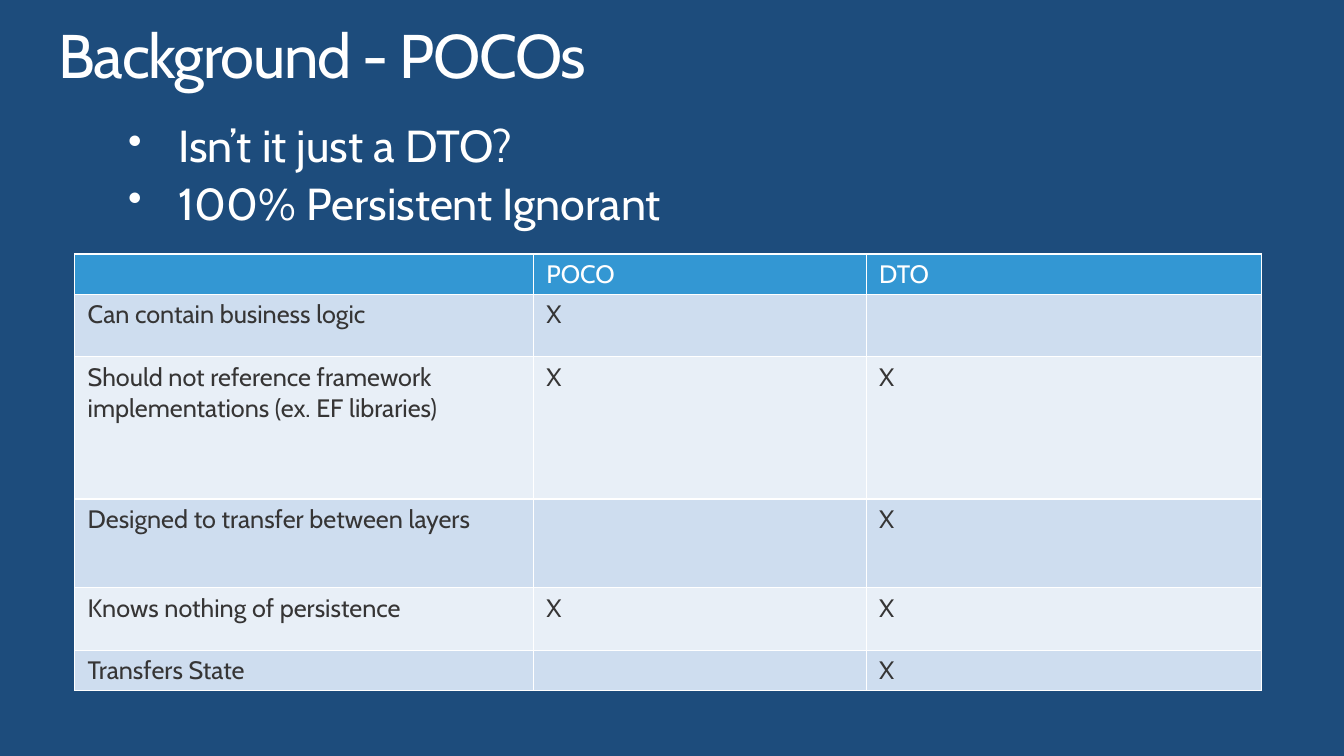
from dataclasses import dataclass

from lxml import etree
from pptx import Presentation
from pptx.dml.color import RGBColor
from pptx.enum.text import MSO_ANCHOR
from pptx.oxml.ns import qn
from pptx.util import Inches, Pt

TOP = MSO_ANCHOR.TOP
BORDER_TAGS = ("a:lnL", "a:lnR", "a:lnT", "a:lnB")


@dataclass(frozen=True)
class Theme:
    """Colours, font and type sizes of the deck."""
    font: str = "Cabin"
    background: str = "1D4C7C"
    light: str = "FFFFFF"
    dark: str = "363535"
    header: str = "3397D3"
    bands: tuple = ("CEDDEF", "E8EFF7")
    title_size: int = 44
    bullet_size: int = 32
    table_size: int = 18


class SlideBuilder:
    """Draws styled elements on the current slide."""

    def __init__(self, slide, theme):
        self.slide = slide
        self.theme = theme

    def background(self):
        fill = self.slide.background.fill
        fill.solid()
        fill.fore_color.rgb = RGBColor.from_string(self.theme.background)

    def run(self, para, text, size, color):
        span = para.add_run()
        span.text = text
        span.font.name = self.theme.font
        span.font.size = Pt(size)
        span.font.color.rgb = RGBColor.from_string(color)
        return span

    def text_frame(self, left, top, width, height):
        box = self.slide.shapes.add_textbox(
            Inches(left), Inches(top), Inches(width), Inches(height))
        frame = box.text_frame
        frame.word_wrap = True
        frame.vertical_anchor = TOP
        frame.margin_left = frame.margin_right = Inches(0)
        frame.margin_top = frame.margin_bottom = Inches(0)
        return frame

    def title(self, text, *place):
        para = self.text_frame(*place).paragraphs[0]
        para.line_spacing = 0.9
        span = self.run(para, text, self.theme.title_size, self.theme.light)
        span.font._element.set("spc", "-100")

    def bullets(self, lines, *place):
        frame = self.text_frame(*place)
        for index, line in enumerate(lines):
            para = frame.add_paragraph() if index else frame.paragraphs[0]
            para.line_spacing = 0.9
            para.space_before = Pt(0.2 * self.theme.bullet_size)
            properties = para._p.get_or_add_pPr()
            properties.set("marL", str(Inches(0.5)))
            properties.set("indent", str(Inches(-0.5)))
            etree.SubElement(properties, qn("a:buSzPct"), val="90000")
            etree.SubElement(properties, qn("a:buChar"), char="•")
            self.run(para, line, self.theme.bullet_size, self.theme.light)

    def cell(self, cell, text, fill, color):
        cell.margin_left = cell.margin_right = Inches(0.13)
        cell.margin_top = cell.margin_bottom = Inches(0.05)
        properties = cell._tc.get_or_add_tcPr()
        for tag in BORDER_TAGS:
            border = etree.SubElement(properties, qn(tag), w=str(Pt(1)))
            solid = etree.SubElement(border, qn("a:solidFill"))
            etree.SubElement(solid, qn("a:srgbClr"), val=self.theme.light)
        cell.fill.solid()
        cell.fill.fore_color.rgb = RGBColor.from_string(fill)
        para = cell.text_frame.paragraphs[0]
        para.font.size = Pt(self.theme.table_size)
        if text:
            self.run(para, text, self.theme.table_size, color)

    def table(self, rows, left, top, widths, heights):
        table = self.slide.shapes.add_table(
            len(rows), len(widths), Inches(left), Inches(top),
            Inches(sum(widths)), Inches(sum(heights))).table
        for column, width in zip(table.columns, widths):
            column.width = Inches(width)
        for index, (texts, height) in enumerate(zip(rows, heights)):
            table.rows[index].height = Inches(height)
            fill, color = self.theme.header, self.theme.light
            if index:
                fill, color = self.theme.bands[(index - 1) % 2], self.theme.dark
            for position, text in enumerate(texts):
                self.cell(table.cell(index, position), text, fill, color)


def main():
    deck = Presentation()
    deck.slide_width, deck.slide_height = Inches(13.33), Inches(7.5)
    page = SlideBuilder(deck.slides.add_slide(deck.slide_layouts[6]), Theme())
    page.background()
    page.title("Background - POCOs", 0.58, 0.25, 10.74, 0.67)
    page.bullets(["Isn’t it just a DTO?", "100% Persistent Ignorant"],
                 1.27, 1.23, 10.74, 1.67)
    comparison = [
        ("", "POCO", "DTO"),
        ("Can contain business logic", "X", ""),
        ("Should not reference framework implementations (ex. EF libraries)",
         "X", "X"),
        ("Designed to transfer between layers", "", "X"),
        ("Knows nothing of persistence", "X", "X"),
        ("Transfers State", "", "X"),
    ]
    page.table(comparison, 0.74, 2.52, (4.55, 3.3, 3.92),
               (0.4, 0.62, 1.41, 0.88, 0.62, 0.4))
    deck.save("out.pptx")


if __name__ == "__main__":
    main()
